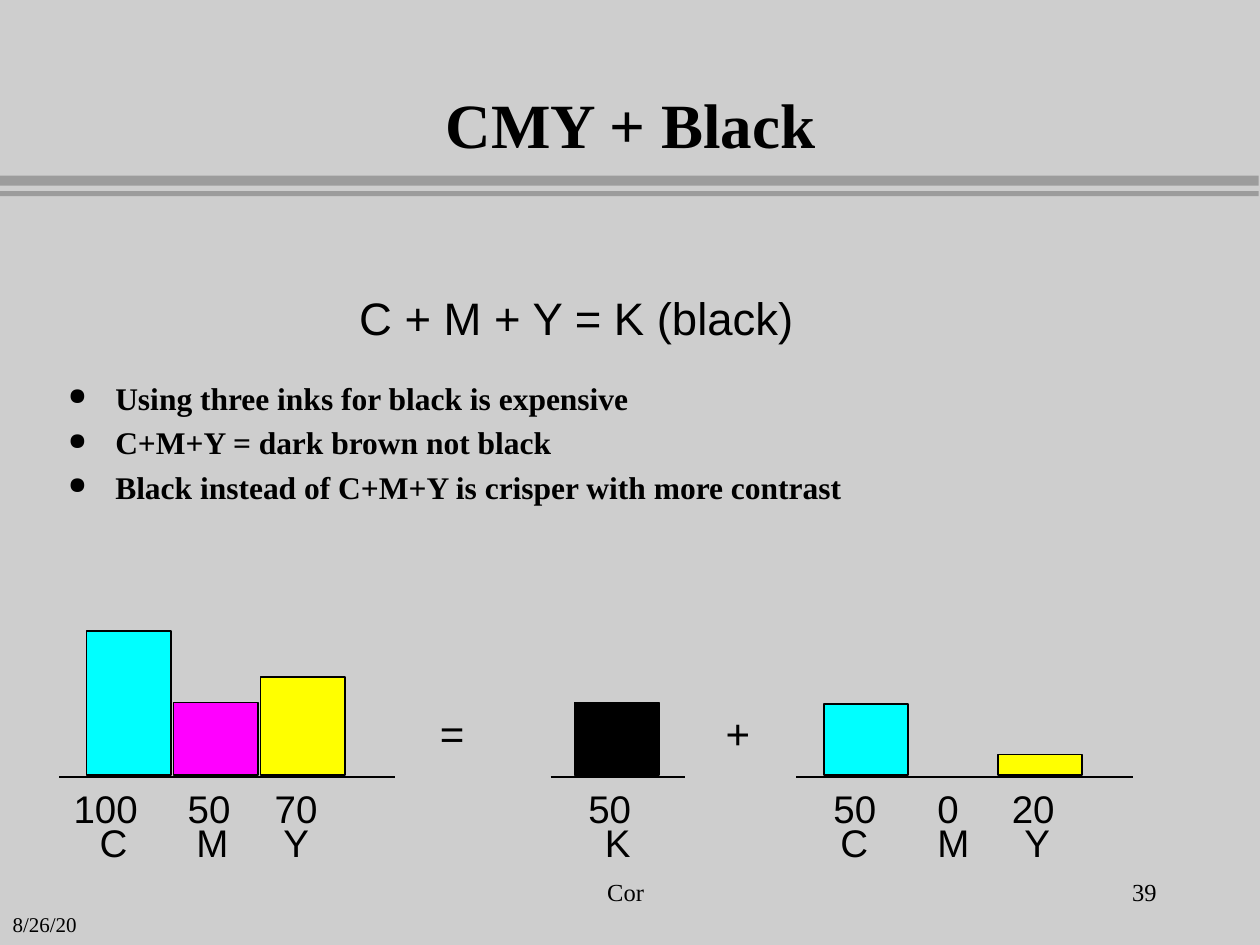
from lxml import etree
from pptx import Presentation
from pptx.dml.color import RGBColor
from pptx.enum.shapes import MSO_CONNECTOR, MSO_SHAPE
from pptx.enum.text import MSO_ANCHOR, PP_ALIGN
from pptx.oxml.ns import qn
from pptx.util import Pt

RECT, STRAIGHT = MSO_SHAPE.RECTANGLE, MSO_CONNECTOR.STRAIGHT
TOP, MIDDLE, BOTTOM = MSO_ANCHOR.TOP, MSO_ANCHOR.MIDDLE, MSO_ANCHOR.BOTTOM
LEFT, CENTER, RIGHT = PP_ALIGN.LEFT, PP_ALIGN.CENTER, PP_ALIGN.RIGHT

BACKGROUND = RGBColor(0xCE, 0xCE, 0xCE)
RULE = RGBColor(0x9C, 0x9C, 0x9C)
BLACK = RGBColor(0, 0, 0)
CYAN = RGBColor(0, 0xFF, 0xFF)
MAGENTA = RGBColor(0xFF, 0, 0xFF)
YELLOW = RGBColor(0xFF, 0xFF, 0)

SANS = {"name": "Arial", "size": Pt(22), "bold": False}
SERIF = {"name": "Times New Roman", "size": Pt(14), "bold": False}

prs = Presentation()
prs.slide_width, prs.slide_height = Pt(720), Pt(540)
s = prs.slides.add_slide(prs.slide_layouts[6])
s.background.fill.solid()
s.background.fill.fore_color.rgb = BACKGROUND


def add_text(x, y, w, h, lines, font, align=LEFT, anchor=TOP, inset=3.6, spacing=None):
    sp = s.shapes.add_textbox(Pt(x), Pt(y), Pt(w), Pt(h))
    tf = sp.text_frame
    tf.word_wrap, tf.vertical_anchor = True, anchor
    tf.margin_left = tf.margin_top = tf.margin_bottom = Pt(inset)
    tf.margin_right = Pt(0 if align == LEFT else inset)
    for i, line in enumerate(lines):
        p = tf.paragraphs[0] if i == 0 else tf.add_paragraph()
        p.alignment, p.line_spacing = align, spacing
        r = p.add_run()
        r.text = line
        r.font.color.rgb = BLACK
        for name, value in font.items():
            setattr(r.font, name, value)
    return tf


def add_rect(x, y, w, h, color, outlined=True):
    sp = s.shapes.add_shape(RECT, Pt(x), Pt(y), Pt(w), Pt(h))
    sp.shadow.inherit = False
    sp.fill.solid()
    sp.fill.fore_color.rgb = color
    if outlined:
        sp.line.color.rgb = BLACK
        sp.line.width = Pt(1)
    else:
        sp.line.fill.background()


# Title and double rule
add_rect(0, 100.3, 719.3, 5.8, RULE, outlined=False)
add_rect(0, 109.3, 719.3, 2.9, RULE, outlined=False)
add_text(78.5, 5.8, 563.8, 90, ["CMY + Black"], {**SERIF, "size": Pt(36), "bold": True},
         CENTER, BOTTOM, 2.88, 0.9)

# Formula
add_text(201.6, 162, 264, 37.4, ["C + M + Y = K (black)"], {**SANS, "size": Pt(26)})

# Bullets
tf = add_text(36, 216, 612, 126, [
    "Using three inks for black is expensive",
    "C+M+Y = dark brown not black",
    "Black instead of C+M+Y is crisper with more contrast",
], {**SERIF, "size": Pt(18), "bold": True}, inset=2.88, spacing=0.9)
for i, p in enumerate(tf.paragraphs):
    if i:
        p.space_before = Pt(6)
    pPr = p._p.get_or_add_pPr()
    pPr.set("marL", str(Pt(27)))
    pPr.set("indent", str(-Pt(27)))
    etree.SubElement(pPr, qn("a:buSzPct")).set("val", "75000")
    etree.SubElement(pPr, qn("a:buChar")).set("char", "●")

# Ink groups: baseline from/to, first bar, then per ink
# (letter, value, colour, bar height, value x, letter x)
BASE, BAR_BOTTOM, BAR_W, STEP = 444.2, 442.7, 48.2, 49.7
groups = [
    (33.8, 226, 49.5, [("C", "100", CYAN, 82, 38.5, 53.3),
                       ("M", "50", MAGENTA, 41.2, 103.7, 108.7),
                       ("Y", "70", YELLOW, 56, 153.4, 158.4)]),
    (314.6, 391.7, 328.3, [("K", "50", BLACK, 41.2, 332.6, 342)]),
    (455, 647.3, 470.9, [("C", "50", CYAN, 40.3, 472.7, 476.6),
                         ("M", "0", MAGENTA, 0, 532.1, 532.1),
                         ("Y", "20", YELLOW, 11.5, 574.6, 581.8)]),
]
for x1, x2, first, inks in groups:
    line = s.shapes.add_connector(STRAIGHT, Pt(x1), Pt(BASE), Pt(x2), Pt(BASE))
    line.line.color.rgb = BLACK
    line.line.width = Pt(1)
    etree.SubElement(line._element.spPr, qn("a:effectLst"))
    for i, (letter, value, color, h, value_x, letter_x) in enumerate(inks):
        if h:
            add_rect(first + i * STEP, BAR_BOTTOM - h, BAR_W, h, color)
        add_text(value_x, 445, 8 + 12.3 * len(value), 32.4, [value], SANS)
        add_text(letter_x, 464.4, 26.6, 32.4, [letter], SANS)

# Operators between groups
for x, sign in [(247.7, "="), (411.1, "+")]:
    add_text(x, 401, 22.3, 34.6, [sign], {**SANS, "size": Pt(24)})

# Footer
add_text(343.4, 498.2, 32.4, 22.3, ["Cor"], SERIF, anchor=MIDDLE)
add_text(3.6, 517, 44.6, 21.6, ["8/26/20"], {**SERIF, "size": Pt(12)}, anchor=MIDDLE)
add_text(635, 498.2, 29.5, 22.3, ["39"], SERIF, RIGHT, MIDDLE)

prs.save("out.pptx")
